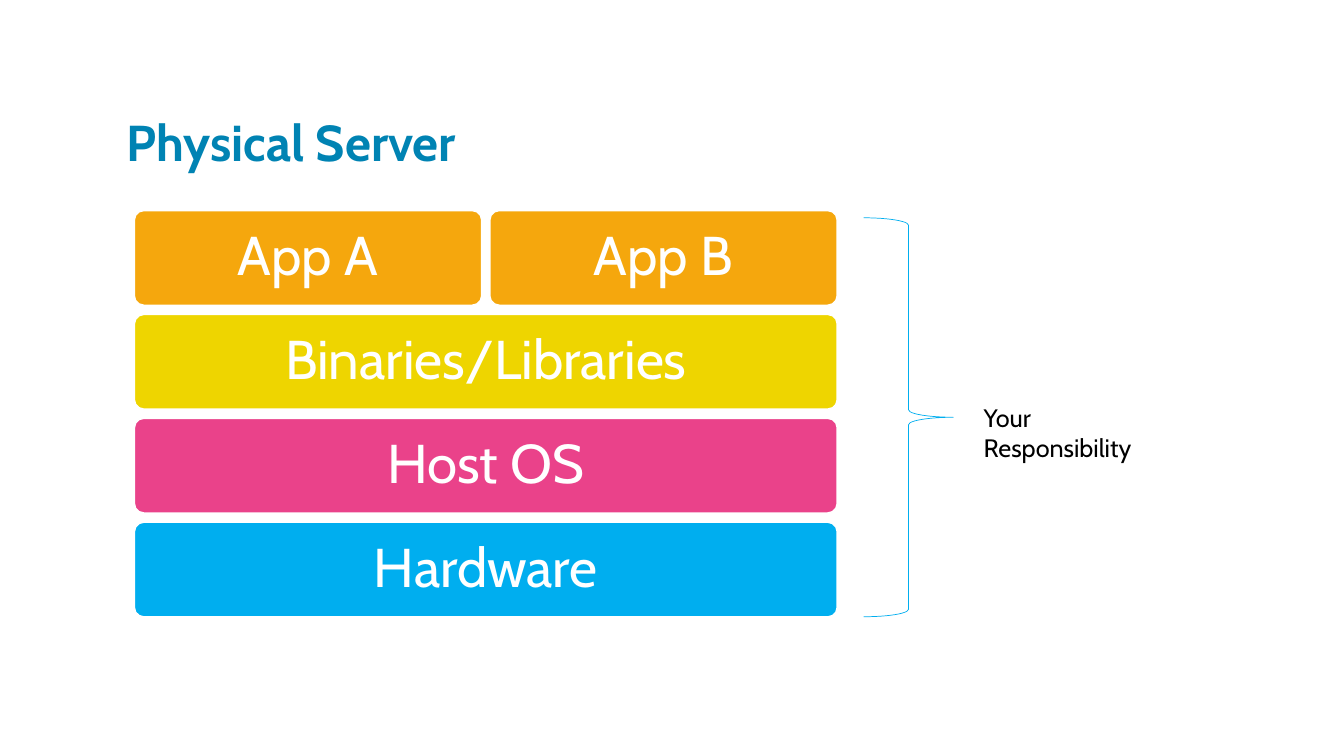
from dataclasses import dataclass

from pptx import Presentation
from pptx.dml.color import RGBColor
from pptx.enum import shapes, text
from pptx.util import Pt


@dataclass(frozen=True)
class Theme:
    font: str = "Cabin"
    title: str = "0083B3"
    white: str = "FFFFFF"
    black: str = "000000"
    orange: str = "F5A70D"
    yellow: str = "EED500"
    pink: str = "EA428A"
    blue: str = "00AEEF"
    title_size: int = 36
    layer_size: int = 39
    label_size: int = 18


THEME = Theme()
STACK_LEFT, STACK_TOP, STACK_WIDTH = 96, 150.4, 502
LAYER_HEIGHT, LAYER_STEP, APP_GAP = 67.6, 74.2, 5.8
LAYERS = [
    (["App A", "App B"], THEME.orange),
    (["Binaries/Libraries"], THEME.yellow),
    (["Host OS"], THEME.pink),
    (["Hardware"], THEME.blue),
]


def add_run(p, words, size, color, bold=False):
    """Add one styled run to a paragraph."""
    r = p.add_run()
    r.text = words
    r.font.name = THEME.font
    r.font.size = Pt(size)
    r.font.bold = bold
    r.font.color.rgb = RGBColor.from_string(color)


def add_textbox(s, box, words, size, color, bold=False, spacing=1.0,
                anchor=text.MSO_ANCHOR.TOP):
    """Add a wrapping text box with a single run."""
    tf = s.shapes.add_textbox(*map(Pt, box)).text_frame
    tf.word_wrap = True
    tf.vertical_anchor = anchor
    p = tf.paragraphs[0]
    p.line_spacing = spacing
    add_run(p, words, size, color, bold)


def add_block(s, box, words, fill):
    """Add a rounded block with a centred caption."""
    sp = s.shapes.add_shape(shapes.MSO_SHAPE.ROUNDED_RECTANGLE, *map(Pt, box))
    sp.shadow.inherit = False
    sp.adjustments[0] = 0.1
    sp.fill.solid()
    sp.fill.fore_color.rgb = RGBColor.from_string(fill)
    sp.line.color.rgb = RGBColor.from_string(THEME.white)
    sp.line.width = Pt(1)
    tf = sp.text_frame
    tf.word_wrap = True
    tf.vertical_anchor = text.MSO_ANCHOR.MIDDLE
    tf.margin_left = tf.margin_right = Pt(11.7)
    tf.margin_top = tf.margin_bottom = Pt(11.7)
    p = tf.paragraphs[0]
    p.alignment = text.PP_ALIGN.CENTER
    p.line_spacing = 0.9
    add_run(p, words, THEME.layer_size, THEME.white)


def add_layer(s, top, captions, fill):
    """Share one layer of the stack equally among its captions."""
    count = len(captions)
    width = (STACK_WIDTH - APP_GAP * (count - 1)) / count
    for i, words in enumerate(captions):
        left = STACK_LEFT + i * (width + APP_GAP)
        add_block(s, (left, top, width, LAYER_HEIGHT), words, fill)


def add_brace(s, box):
    """Add a thin right brace."""
    sp = s.shapes.add_shape(shapes.MSO_SHAPE.RIGHT_BRACE, *map(Pt, box))
    sp.shadow.inherit = False
    sp.fill.background()
    sp.line.color.rgb = RGBColor.from_string(THEME.blue)
    sp.line.width = Pt(0.5)


def main():
    """Build the physical server slide."""
    prs = Presentation()
    prs.slide_width, prs.slide_height = Pt(960), Pt(540)
    s = prs.slides.add_slide(prs.slide_layouts[6])
    add_textbox(s, (83.5, 41.8, 684, 84.2), "Physical Server", THEME.title_size,
                THEME.title, bold=True, spacing=0.8,
                anchor=text.MSO_ANCHOR.BOTTOM)
    for row, (captions, fill) in enumerate(LAYERS):
        add_layer(s, STACK_TOP + row * LAYER_STEP, captions, fill)
    add_brace(s, (617, 155.6, 64, 285))
    add_textbox(s, (695.6, 283.7, 150, 29), "Your Responsibility",
                THEME.label_size, THEME.black)
    prs.save("out.pptx")


if __name__ == "__main__":
    main()
